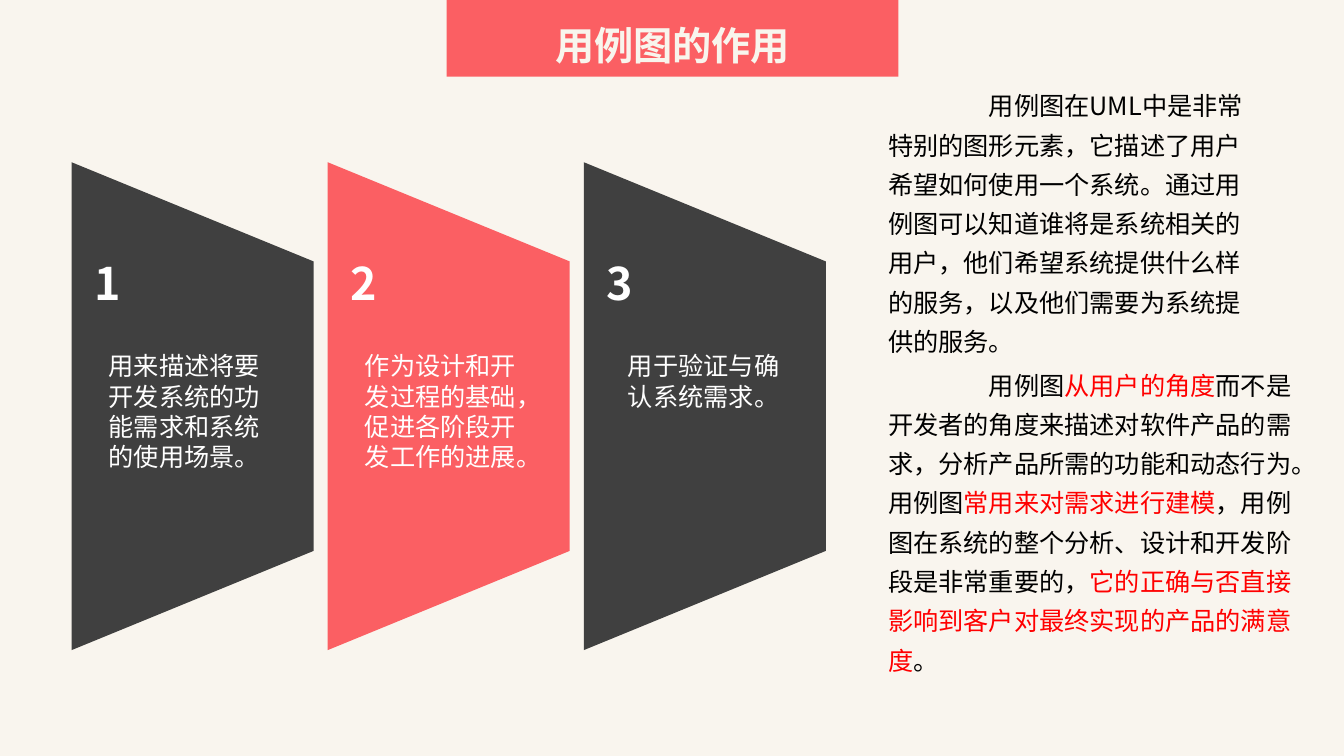
from pptx import Presentation
from pptx.dml.color import RGBColor
from pptx.enum.shapes import MSO_SHAPE
from pptx.enum.text import MSO_ANCHOR, MSO_AUTO_SIZE, PP_ALIGN
from pptx.oxml.ns import qn
from pptx.util import Inches, Pt
from lxml import etree

COLORS = {
    "paper": "F9F5EE",
    "coral": "FB5F63",
    "charcoal": "404040",
    "cream": "F8F5ED",
    "white": "FFFFFF",
    "black": "000000",
    "red": "FF0000",
}
CJK_FONT = "Noto Sans CJK SC"


def style(paragraph, size, color, bold=False, font_name=CJK_FONT):
    font = paragraph.font
    font.name, font.size, font.bold = font_name, Pt(size), bold
    font.color.rgb = RGBColor.from_string(COLORS[color])
    latin = paragraph._p.pPr.find(qn("a:defRPr")).find(qn("a:latin"))
    east_asian = etree.Element(qn("a:ea"), typeface=CJK_FONT)
    latin.addnext(east_asian)


def add_text(left, top, width, height, wrap=True):
    frame = slide.shapes.add_textbox(
        Inches(left), Inches(top), Inches(width), Inches(height)).text_frame
    frame.word_wrap = wrap
    frame.auto_size = MSO_AUTO_SIZE.SHAPE_TO_FIT_TEXT
    return frame.paragraphs[0]


prs = Presentation()
prs.slide_width, prs.slide_height = Inches(13.33), Inches(7.5)
slide = prs.slides.add_slide(prs.slide_layouts[6])
slide.background.fill.solid()
slide.background.fill.fore_color.rgb = RGBColor.from_string(COLORS["paper"])

banner = slide.shapes.add_shape(
    MSO_SHAPE.RECTANGLE, Inches(4.43), Inches(0), Inches(4.48), Inches(0.76))
banner.shadow.inherit = False
banner.fill.solid()
banner.fill.fore_color.rgb = RGBColor.from_string(COLORS["coral"])
banner.line.fill.background()
banner.text_frame.vertical_anchor = MSO_ANCHOR.MIDDLE
title = banner.text_frame.paragraphs[0]
title.text = "用例图的作用"
title.alignment = PP_ALIGN.CENTER
title.line_spacing = 1.3
title.space_before = Pt(10)
style(title, 28, "cream", bold=True)

roles = [
    ("charcoal", 0.98, 1.87, 1.31, "用来描述将要开发系统的功能需求和系统的使用场景。"),
    ("coral", 3.52, 1.86, 1.31, "作为设计和开发过程的基础，促进各阶段开发工作的进展。"),
    ("charcoal", 6.13, 1.72, 0.71, "用于验证与确认系统需求。"),
]
for index, (color, left, width, height, role) in enumerate(roles):
    offset = 2.54 * index
    panel = slide.shapes.add_shape(
        MSO_SHAPE.TRAPEZOID, Inches(offset - 0.51), Inches(2.83), Inches(4.84), Inches(2.4))
    panel.rotation = 90
    panel.adjustments[0] = 0.41
    panel.shadow.inherit = False
    panel.fill.solid()
    panel.fill.fore_color.rgb = RGBColor.from_string(COLORS[color])
    panel.line.fill.background()

    description = add_text(left, 3.43, width, height)
    description.text = role
    style(description, 18, "white")

    number = add_text(0.84 + offset, 2.49, 0.47, 0.64, wrap=False)
    number.text = str(index + 1)
    style(number, 32, "white", bold=True)

explanations = [
    ((8.71, 0.76, 3.81, 2.85), CJK_FONT, [
        ("用例图在UML中是非常特别的图形元素，它描述了用户希望如何使用一个系统。"
         "通过用例图可以知道谁将是系统相关的用户，他们希望系统提供什么样的服务，"
         "以及他们需要为系统提供的服务。", "black"),
    ]),
    ((8.71, 3.53, 4.42, 3.25), "League Spartan", [
        ("用例图", "black"),
        ("从用户的角度", "red"),
        ("而不是开发者的角度来描述对软件产品的需求，分析产品所需的功能和动态行为。用例图", "black"),
        ("常用来对需求进行建模", "red"),
        ("，用例图在系统的整个分析、设计和开发阶段是非常重要的，", "black"),
        ("它的正确与否直接影响到客户对最终实现的产品的满意度", "red"),
        ("。", "black"),
    ]),
]
for box, font_name, phrases in explanations:
    explanation = add_text(*box)
    explanation.line_spacing = 1.3
    style(explanation, 18, "black", font_name=font_name)
    explanation._p.pPr.set("marL", "0")
    explanation._p.pPr.set("indent", str(Inches(1)))
    for words, color in phrases:
        phrase = explanation.add_run()
        phrase.text = words
        if color != "black":
            phrase.font.color.rgb = RGBColor.from_string(COLORS[color])

prs.save("out.pptx")
